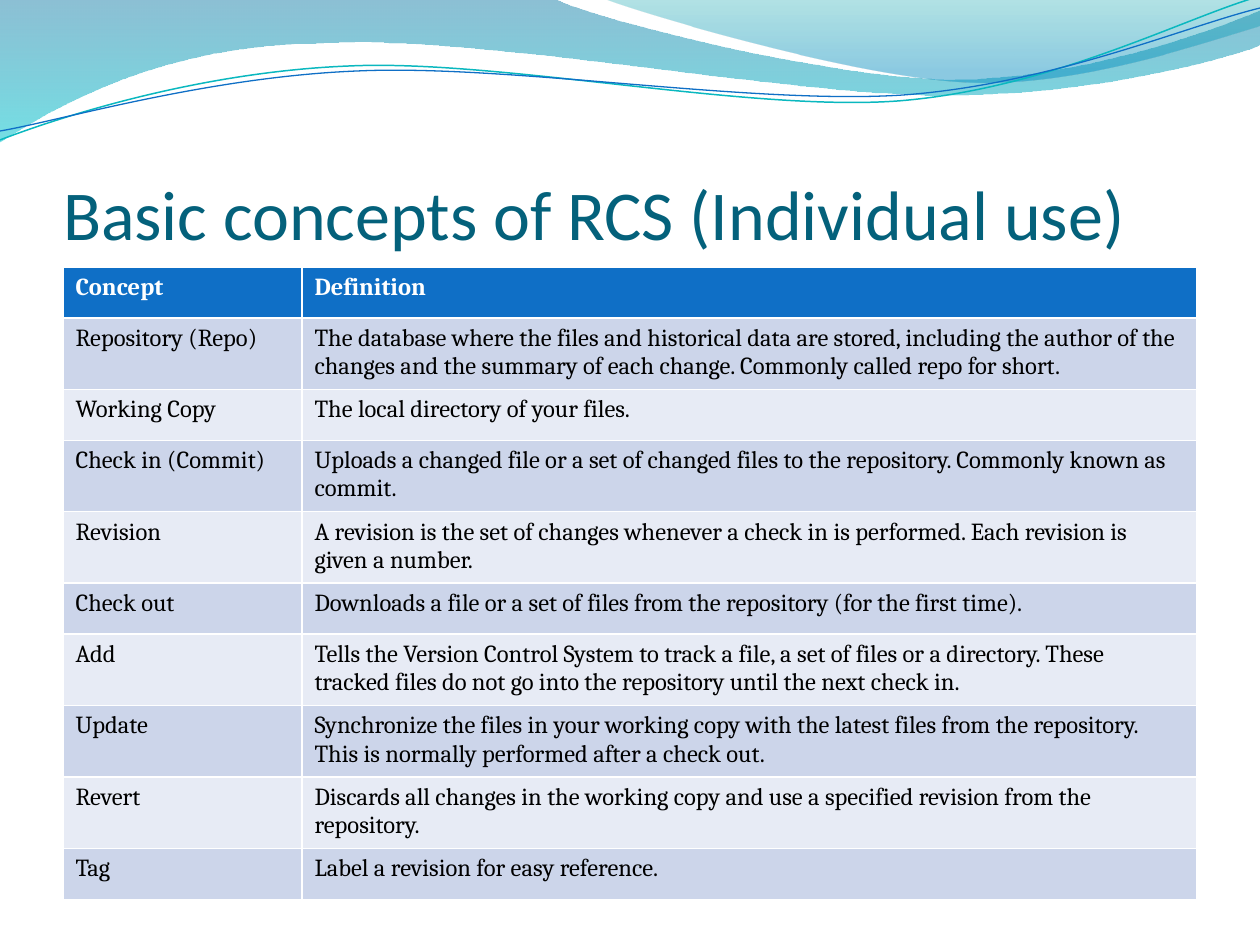
from math import cos, radians, sin
from lxml.etree import SubElement
from pptx import Presentation
from pptx.dml.color import RGBColor
from pptx.enum.text import MSO_ANCHOR, MSO_AUTO_SIZE, PP_ALIGN
from pptx.oxml.ns import qn
from pptx.util import Emu, Pt

# Content
TITLE = "Basic concepts of RCS (Individual use)"
ROWS = [
    ("Concept", "Definition"),
    ("Repository (Repo)", "The database where the files and historical data are stored, "
     "including the author of the changes and the summary of each change. "
     "Commonly called repo for short. "),
    ("Working Copy", "The local directory of your files."),
    ("Check in (Commit)", "Uploads a changed file or a set of changed files to the "
     "repository. Commonly known as commit. "),
    ("Revision", "A revision is the set of changes whenever a check in is performed. "
     "Each revision is given a number. "),
    ("Check out", "Downloads a file or a set of files from the repository "
     "(for the first time)."),
    ("Add", "Tells the Version Control System to track a file, a set of files or a "
     "directory. These tracked files do not go into the repository until the next "
     "check in. "),
    ("Update", "Synchronize the files in your working copy with the latest files from "
     "the repository. This is normally performed after a check out. "),
    ("Revert", "Discards all changes in the working copy and use a specified revision "
     "from the repository."),
    ("Tag", "Label a revision for easy reference. "),
]
COLORS = {"title": "04617B", "head": "0F6FC6", "odd": "CCD5EA", "even": "E7EBF5",
          "white": "FFFFFF", "black": "000000", "teal": "0AB8BF"}

# Waves: box, then a start with line ends (2 numbers) or cubic curves (6 numbers)
BANDS = [
    ((-1, -1, 1262, 143),
     [(0, -1), (554, -1), (600, 21, 837, 79, 955, 79), (1075, 79, 1207, 33, 1260, 11),
      (1261, 45), (1239, 55, 1096, 96, 940, 95), (784, 95, 481, 35, 324, 43),
      (163, 44, 58, 105, -1, 142), (0, -1)],
     [(0, "0074A1", 45), (100, "00C6CF", 55)]),
    ((604, -1, 656, 88),
     [(604, -1), (641, 14, 859, 78, 969, 82), (1079, 87, 1211, 40, 1260, 26),
      (1260, 0), (604, -1)],
     [(0, "00A1A9", 30), (80, "008BBF", 45)]),
]
LINES = [
    ((-2, 28, 1262, 89),
     [(0, 140), (60, 117, 199, 72, 349, 66), (498, 59, 747, 112, 898, 101),
      (1050, 89, 1182, 19, 1257, -3)], "teal", 0.85),
    ((-2, 38, 1263, 73),
     [(0, 131), (59, 121, 207, 77, 357, 71), (508, 64, 752, 105, 903, 95),
      (1053, 84, 1186, 26, 1260, 8)], "head", 0.75),
]
TURN = -2.7  # degrees, for the two lines
LEFT, TOP, COLS = 63, 267, (239, 895)
SHORT = 51
TALL = SHORT * 7 / 5
TWO_LINES = 85  # texts longer than this wrap


def px(n):
    return Emu(round(n * 914400 / 126))


def rgb(name):
    return RGBColor.from_string(COLORS[name])


def write(frame, text, font, size, color, bold=False):
    para = frame.paragraphs[0]
    para.alignment = PP_ALIGN.LEFT
    run = para.add_run()
    run.text = text
    run.font.name, run.font.size, run.font.bold = font, Pt(size), bold
    run.font.color.rgb = rgb(color)


def wave(box, parts, closed, turn=0):
    left, top, wide, high = box
    pen = slide.shapes.build_freeform(px(left), px(top), scale=1.0)
    pen.add_line_segments([(px(left + wide), px(top + high))], close=closed)
    shape = pen.convert_to_shape()
    shape.shadow.inherit = False
    shape.rotation = turn % 360
    # Swap the straight stroke for curves, in the unturned frame of the box
    track = shape._element.spPr.find(".//" + qn("a:path"))
    for child in list(track):
        track.remove(child)
    c, s = cos(radians(turn)), sin(radians(turn))
    for i, part in enumerate(parts):
        tag = "moveTo" if i == 0 else "lnTo" if len(part) == 2 else "cubicBezTo"
        move = SubElement(track, qn("a:" + tag))
        for x, y in zip(part[::2], part[1::2]):
            dx, dy = x - left - wide / 2, y - top - high / 2
            SubElement(move, qn("a:pt"), x=str(px(wide / 2 + dx * c + dy * s)),
                       y=str(px(high / 2 - dx * s + dy * c)))
    if closed:
        SubElement(track, qn("a:close"))
    return shape


def shade(shape, stops):
    shape.fill.gradient()
    grad = shape.fill._fill._gradFill
    for child in list(grad):
        grad.remove(child)
    group = SubElement(grad, qn("a:gsLst"))
    for pos, color, alpha in stops:
        stop = SubElement(group, qn("a:gs"), pos=str(pos * 1000))
        tint = SubElement(stop, qn("a:srgbClr"), val=color)
        SubElement(tint, qn("a:alpha"), val=str(alpha * 1000))
    SubElement(grad, qn("a:lin"), ang="5400000", scaled="0")


deck = Presentation()
deck.slide_width, deck.slide_height = px(1260), px(945)
slide = deck.slides.add_slide(deck.slide_layouts[5])

# Waves
for box, parts, stops in BANDS:
    band = wave(box, parts, True)
    shade(band, stops)
    band.line.fill.background()
for box, parts, color, width in LINES:
    curve = wave(box, parts, False, TURN)
    curve.fill.background()
    curve.line.color.rgb = rgb(color)
    curve.line.width = Pt(width)

# Title, in front of the waves
title = slide.shapes.title
title.left, title.top, title.width, title.height = px(63), px(97), px(1134), px(158)
frame = title.text_frame
frame.margin_left = frame.margin_right = frame.margin_bottom = 0
frame.vertical_anchor = MSO_ANCHOR.BOTTOM
frame.auto_size = MSO_AUTO_SIZE.NONE
frame.word_wrap = True
write(frame, TITLE, "Calibri", 40, "title")
slide.shapes._spTree.append(title._element)

# Table, whose default style draws the white rules
highs = [TALL if len(text) > TWO_LINES else SHORT for _, text in ROWS]
table = slide.shapes.add_table(len(ROWS), len(COLS), px(LEFT), px(TOP),
                               px(sum(COLS)), px(sum(highs))).table
for col, wide in zip(table.columns, COLS):
    col.width = px(wide)
for r, (texts, high) in enumerate(zip(ROWS, highs)):
    table.rows[r].height = px(high)
    head = r == 0
    for c, text in enumerate(texts):
        cell = table.cell(r, c)
        cell.fill.solid()
        cell.fill.fore_color.rgb = rgb("head" if head else "odd" if r % 2 else "even")
        write(cell.text_frame, text, "Cambria", 14, "white" if head else "black", head)

deck.save("out.pptx")
